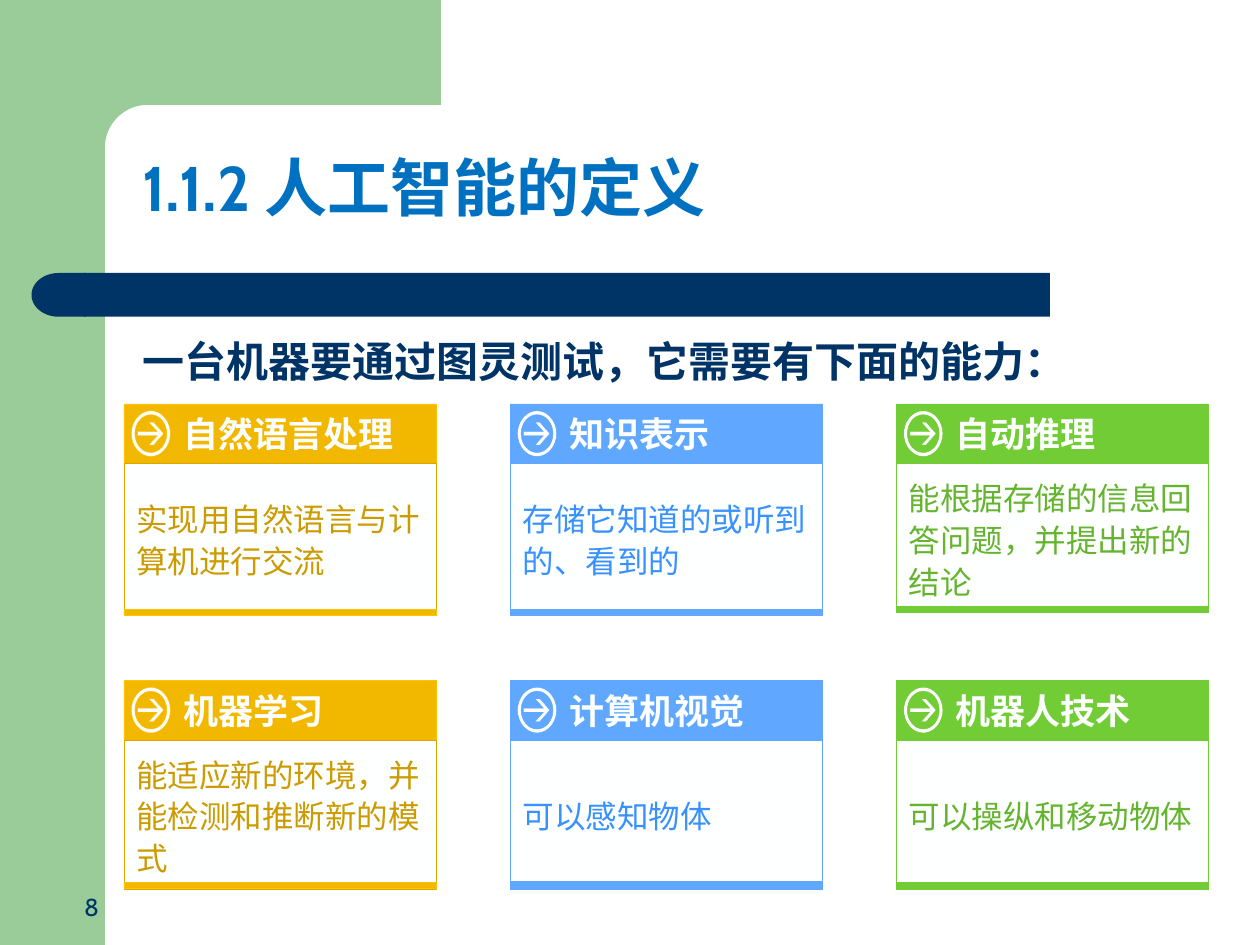
"""Builds the slide on the abilities a machine needs to pass the Turing test."""
from dataclasses import dataclass

from lxml import etree
from pptx import Presentation
from pptx.dml.color import RGBColor
from pptx.enum.shapes import MSO_SHAPE
from pptx.enum.text import MSO_ANCHOR, MSO_AUTO_SIZE, PP_ALIGN
from pptx.oxml.ns import qn
from pptx.util import Pt

RECT, DELAY = MSO_SHAPE.RECTANGLE, MSO_SHAPE.FLOWCHART_DELAY
ROUND_RECT = MSO_SHAPE.ROUNDED_RECTANGLE
TOP, MIDDLE, BOTTOM = MSO_ANCHOR.TOP, MSO_ANCHOR.MIDDLE, MSO_ANCHOR.BOTTOM
LEFT, RIGHT = PP_ALIGN.LEFT, PP_ALIGN.RIGHT
FIT_SHAPE = MSO_AUTO_SIZE.SHAPE_TO_FIT_TEXT

TITLE = "1.1.2 人工智能的定义"
INTRO = "一台机器要通过图灵测试，它需要有下面的能力："
PAGE = "8"
CARDS = [
    [("自然语言处理", "实现用自然语言与计算机进行交流", 348.1),
     ("知识表示", "存储它知道的或听到的、看到的", 348.1),
     ("自动推理", "能根据存储的信息回答问题，并提出新的结论", 346.4)],
    [("机器学习", "能适应新的环境，并能检测和推断新的模式", 504.2),
     ("计算机视觉", "可以感知物体", 503.8),
     ("机器人技术", "可以操纵和移动物体", 504.4)],
]


@dataclass(frozen=True)
class Theme:
    """Colours, fonts and type sizes; each palette is fill, edge, body edge, text."""
    green: str = "99CC99"
    navy: str = "003366"
    blue: str = "0070C0"
    white: str = "FEFFFF"
    palettes: tuple = (("F2B800", "FFC301", "DAA600", "CC9B00"),
                       ("5FA7FF", "60A7FF", "60A7FF", "3791FF"),
                       ("72CC36", "72CC36", "72CC36", "64B42E"))
    latin: str = "Cabin"
    body: str = "Arial"
    cjk: str = "Noto Sans CJK SC"
    title_size: int = 36
    intro_size: int = 24
    head_size: int = 20
    body_size: int = 18
    page_size: int = 14


THEME = Theme()
CARD_X, CARD_Y = 70.8, 230.8
PITCH_X, PITCH_Y = 220.7, 158
CARD_W, HEAD_H, BODY_H, BAR_H = 178.5, 34.1, 85, 3.6
ICON_X, ICON_Y = 15.4, 17
ARROW = [(-1.2, -6.5), (3.6, -1.2), (-7.6, -1.2), (-7.6, 1.2), (3.6, 1.2),
         (-1.2, 6.5), (1.7, 6.5), (7.4, 0), (1.7, -6.5)]
KAPPA = 0.55
CORNER = [[(252, 0)], [(252, 60)], [(84, 60)], [(71, 60), (60, 71), (60, 84)],
          [(60, 92)], [(36, 92)], [(36, 0)]]


def polygon(points):
    return [[point] for point in points]


def box(x, y, w, h):
    return polygon([(x, y), (x + w, y), (x + w, y + h), (x, y + h)])


def ellipse(cx, cy, rx, ry):
    contour = [[(cx, cy - ry)]]
    for ux, uy in [(0, -1), (1, 0), (0, 1), (-1, 0)]:
        vx, vy = -uy, ux
        unit = [(ux + KAPPA * vx, uy + KAPPA * vy),
                (vx + KAPPA * ux, vy + KAPPA * uy), (vx, vy)]
        contour.append([(cx + rx * a, cy + ry * b) for a, b in unit])
    return contour


def paint(sp, fill, line=None):
    sp.shadow.inherit = False
    sp.fill.solid()
    sp.fill.fore_color.rgb = RGBColor.from_string(fill)
    if line:
        sp.line.color.rgb = RGBColor.from_string(line)
        sp.line.width = Pt(0.25)
    else:
        sp.line.fill.background()
    return sp


def add_shape(slide, kind, x, y, w, h, fill, line=None):
    sp = slide.shapes.add_shape(kind, Pt(x), Pt(y), Pt(w), Pt(h))
    return paint(sp, fill, line)


def add_outline(slide, contours, fill, line=None):
    builder = None
    for (start,), *segments in contours:
        x, y = map(Pt, start)
        if builder:
            builder.move_to(x, y)
        else:
            builder = slide.shapes.build_freeform(x, y)
        builder.add_line_segments([(Pt(a), Pt(b)) for seg in segments for a, b in seg])
    sp = builder.convert_to_shape()
    curve_segments(sp, [seg for contour in contours for seg in contour[1:]])
    return paint(sp, fill, line)


def curve_segments(sp, segments):
    lines = iter(list(sp._element.iter(qn("a:lnTo"))))
    closing = {len(seg): seg for seg in ()}
    path_lines = list(lines)
    for seg in segments_with_close(path_lines, segments, closing):
        first = seg[0]
        curve = etree.Element(qn("a:cubicBezTo"))
        first.addprevious(curve)
        for line in seg:
            curve.append(line[0])
            line.getparent().remove(line)


def segments_with_close(lines, segments, closing):
    at = 0
    for seg in segments:
        if len(seg) == 3:
            yield lines[at:at + 3]
        at += len(seg)


def add_textbox(slide, x, y, w, h):
    return slide.shapes.add_textbox(Pt(x), Pt(y), Pt(w), Pt(h))


def set_text(sp, text, *, size, color, font, bold=False, align=LEFT,
             anchor=MIDDLE, insets=(7.2, 3.6, 7.2, 3.6), spacing=None, fit=None):
    tf = sp.text_frame
    tf.word_wrap = True
    tf.vertical_anchor = anchor
    tf.margin_left, tf.margin_top, tf.margin_right, tf.margin_bottom = map(Pt, insets)
    if fit is not None:
        tf.auto_size = fit
    p = tf.paragraphs[0]
    p.alignment = align
    if spacing:
        p.line_spacing = spacing
    r = p.add_run()
    r.text = text
    r.font.size = Pt(size)
    r.font.bold = bold
    r.font.name = font
    r.font.color.rgb = RGBColor.from_string(color)
    etree.SubElement(r.font._element, qn("a:ea"), typeface=THEME.cjk)


def add_backdrop(slide):
    add_shape(slide, RECT, 0, 0, 60, 540, THEME.green)
    add_outline(slide, [CORNER], THEME.green)
    add_shape(slide, ROUND_RECT, 48, 156, 552, 25, THEME.navy).adjustments[0] = 0
    add_shape(slide, DELAY, 18, 156, 31, 25, THEME.navy).rotation = 180


def add_card(slide, x, y, palette, head, body, bar_y):
    fill, edge, body_edge, ink = palette
    cx, cy = x + ICON_X, y + ICON_Y
    contours = [polygon([(cx + dx, cy + dy) for dx, dy in ARROW]),
                ellipse(cx, cy, 9.1, 10.8), ellipse(cx, cy, 11.2, 13.1),
                box(x, y, CARD_W, HEAD_H)]
    sp = add_outline(slide, contours, fill, edge)
    set_text(sp, head, size=THEME.head_size, color=THEME.white, font=THEME.body,
             bold=True, insets=(33.8, 0, 0, 0))
    sp = add_shape(slide, RECT, x, y + HEAD_H, CARD_W, BODY_H, THEME.white, body_edge)
    set_text(sp, body, size=THEME.body_size, color=ink, font=THEME.body, spacing=1.1)
    add_shape(slide, RECT, x, bar_y, CARD_W, BAR_H, fill, edge)


def main():
    prs = Presentation()
    prs.slide_width, prs.slide_height = Pt(720), Pt(540)
    slide = prs.slides.add_slide(prs.slide_layouts[6])
    add_backdrop(slide)
    set_text(add_textbox(slide, 74.4, 76.7, 632, 60), TITLE, size=THEME.title_size,
             color=THEME.blue, font=THEME.latin, bold=True)
    set_text(add_textbox(slide, 74.4, 188, 595.4, 36), INTRO, size=THEME.intro_size,
             color=THEME.navy, font=THEME.cjk, bold=True, anchor=TOP, fit=FIT_SHAPE)
    for row, cards in enumerate(CARDS):
        for col, card in enumerate(cards):
            add_card(slide, CARD_X + col * PITCH_X, CARD_Y + row * PITCH_Y,
                     THEME.palettes[col], *card)
    set_text(add_textbox(slide, 29.8, 491.8, 46, 38), PAGE, size=THEME.page_size,
             color=THEME.navy, font=THEME.latin, align=RIGHT, anchor=BOTTOM,
             insets=(7.2, 3.6, 19.2, 3.6))
    prs.save("out.pptx")


if __name__ == "__main__":
    main()
